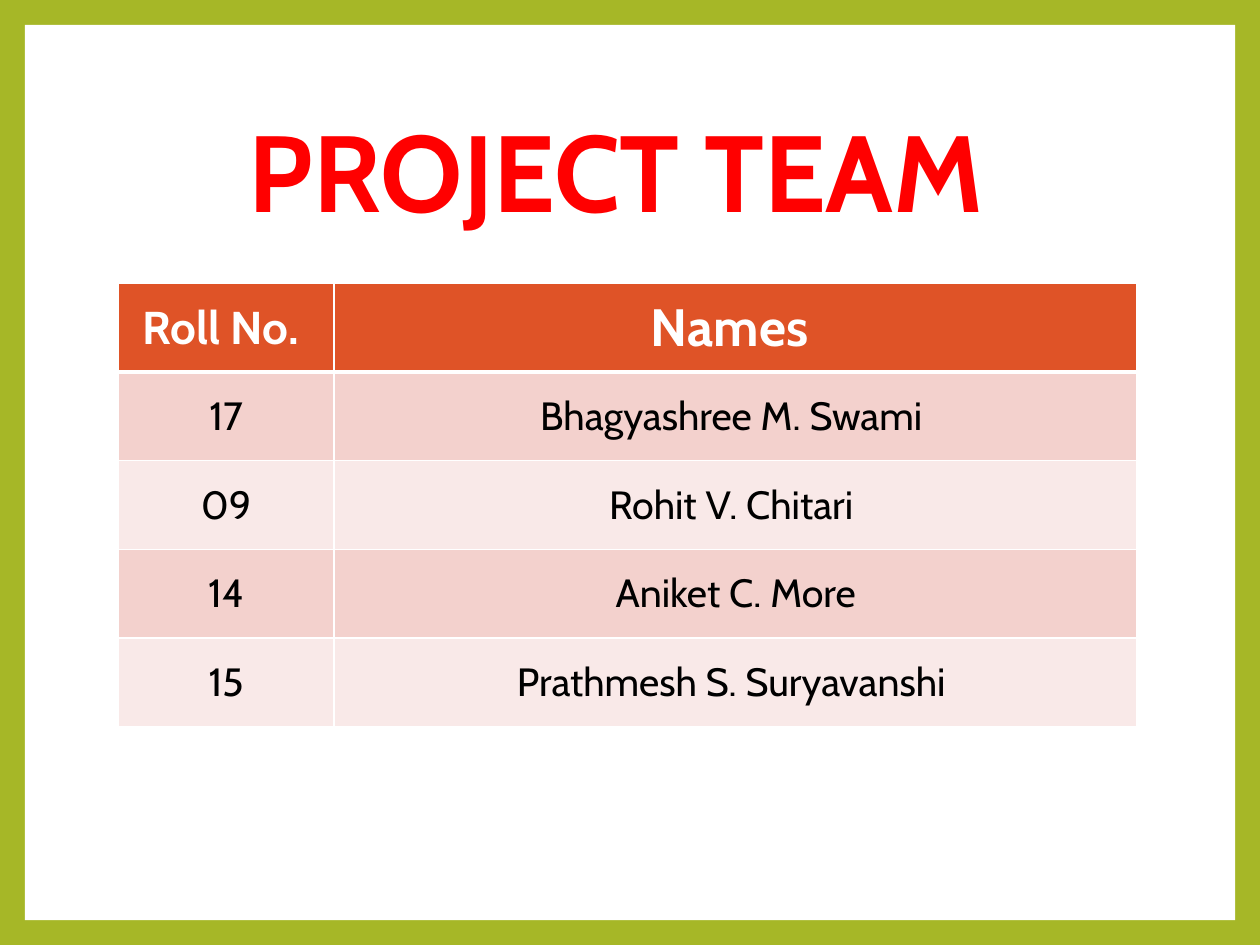
from dataclasses import dataclass

from lxml import etree
from pptx import Presentation
from pptx.dml.color import RGBColor
from pptx.enum import shapes, text
from pptx.oxml import ns
from pptx.util import Inches, Pt


@dataclass(frozen=True)
class Theme:
    font: str = "Cabin"
    frame: str = "A6B727"
    white: str = "FFFFFF"
    black: str = "000000"
    title: str = "FF0000"
    header: str = "DF5327"
    bands: tuple = ("F3D1CD", "F9E9E8")
    title_size: int = 66
    header_sizes: tuple = (28, 32)
    body_size: int = 24


THEME = Theme()
MARGIN = 0.21
LEFT, CONTENT_WIDTH = 1, 8.64
COLUMN_WIDTHS = (1.83, 6.8)
ROW_HEIGHT = 0.75
HEADINGS = ("Roll No. ", "Names ")
MEMBERS = (
    ("17", "Bhagyashree M. Swami "),
    ("09", "Rohit V. Chitari "),
    ("14", "Aniket C. More"),
    ("15", "Prathmesh S. Suryavanshi "),
)


def paint(fill, color):
    fill.solid()
    fill.fore_color.rgb = RGBColor.from_string(color)


def write(frame, words, size, color, bold=False):
    """Set one centred line, vertically in the middle."""
    frame.text = words
    frame.vertical_anchor = text.MSO_ANCHOR.MIDDLE
    paragraph = frame.paragraphs[0]
    paragraph.alignment = text.PP_ALIGN.CENTER
    for run in paragraph.runs:
        run.font.name = THEME.font
        run.font.size = Pt(size)
        run.font.bold = bold
        run.font.color.rgb = RGBColor.from_string(color)


def add_page(slide, width, height):
    """Lay the white page behind everything, leaving the green frame."""
    page = slide.shapes.add_shape(
        shapes.MSO_SHAPE.RECTANGLE, Inches(MARGIN), Inches(MARGIN),
        width - Inches(2 * MARGIN), height - Inches(2 * MARGIN))
    page.shadow.inherit = False
    page.line.fill.background()
    paint(page.fill, THEME.white)
    slide.shapes._spTree.insert(2, page._element)


def add_title(slide, words):
    title = slide.shapes.title
    title.left, title.top = Inches(LEFT), Inches(0.71)
    title.width, title.height = Inches(CONTENT_WIDTH), Inches(1.58)
    title.text_frame.word_wrap = True
    write(title.text_frame, words, THEME.title_size, THEME.title, bold=True)
    title.text_frame.paragraphs[0].line_spacing = 0.9


def set_borders(cell, top=1, bottom=1):
    properties = cell._tc.get_or_add_tcPr()
    for side, points in (("L", 1), ("R", 1), ("T", top), ("B", bottom)):
        line = etree.SubElement(properties, ns.qn(f"a:ln{side}"), w=str(Pt(points)))
        fill = etree.SubElement(line, ns.qn("a:solidFill"))
        etree.SubElement(fill, ns.qn("a:srgbClr"), val=THEME.white)


def add_team_table(slide):
    rows = (HEADINGS, *MEMBERS)
    table = slide.shapes.add_table(
        len(rows), len(HEADINGS), Inches(LEFT), Inches(2.4),
        Inches(CONTENT_WIDTH), Inches(ROW_HEIGHT * len(rows))).table
    for column, width in zip(table.columns, COLUMN_WIDTHS):
        column.width = Inches(width)
    for r, values in enumerate(rows):
        table.rows[r].height = Inches(ROW_HEIGHT)
        is_header = r == 0
        for c, value in enumerate(values):
            cell = table.cell(r, c)
            set_borders(cell, top=3 if r == 1 else 1, bottom=3 if is_header else 1)
            if is_header:
                paint(cell.fill, THEME.header)
                write(cell.text_frame, value, THEME.header_sizes[c], THEME.white, bold=True)
            else:
                paint(cell.fill, THEME.bands[(r - 1) % 2])
                write(cell.text_frame, value, THEME.body_size, THEME.black)
            cell.vertical_anchor = text.MSO_ANCHOR.MIDDLE


def main():
    deck = Presentation()
    deck.slide_width, deck.slide_height = Inches(10.67), Inches(8)
    slide = deck.slides.add_slide(deck.slide_layouts[5])
    paint(slide.background.fill, THEME.frame)
    add_page(slide, deck.slide_width, deck.slide_height)
    add_title(slide, "PROJECT TEAM ")
    add_team_table(slide)
    deck.save("out.pptx")


if __name__ == "__main__":
    main()
